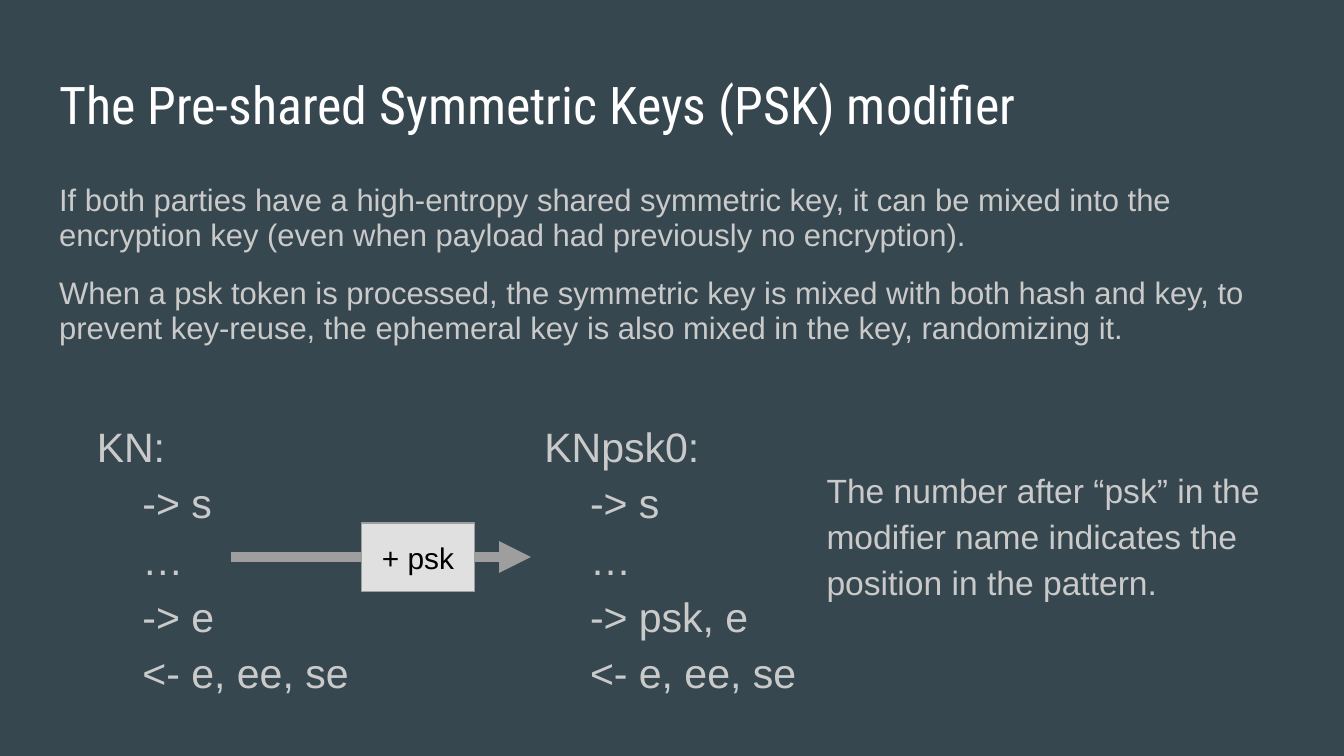
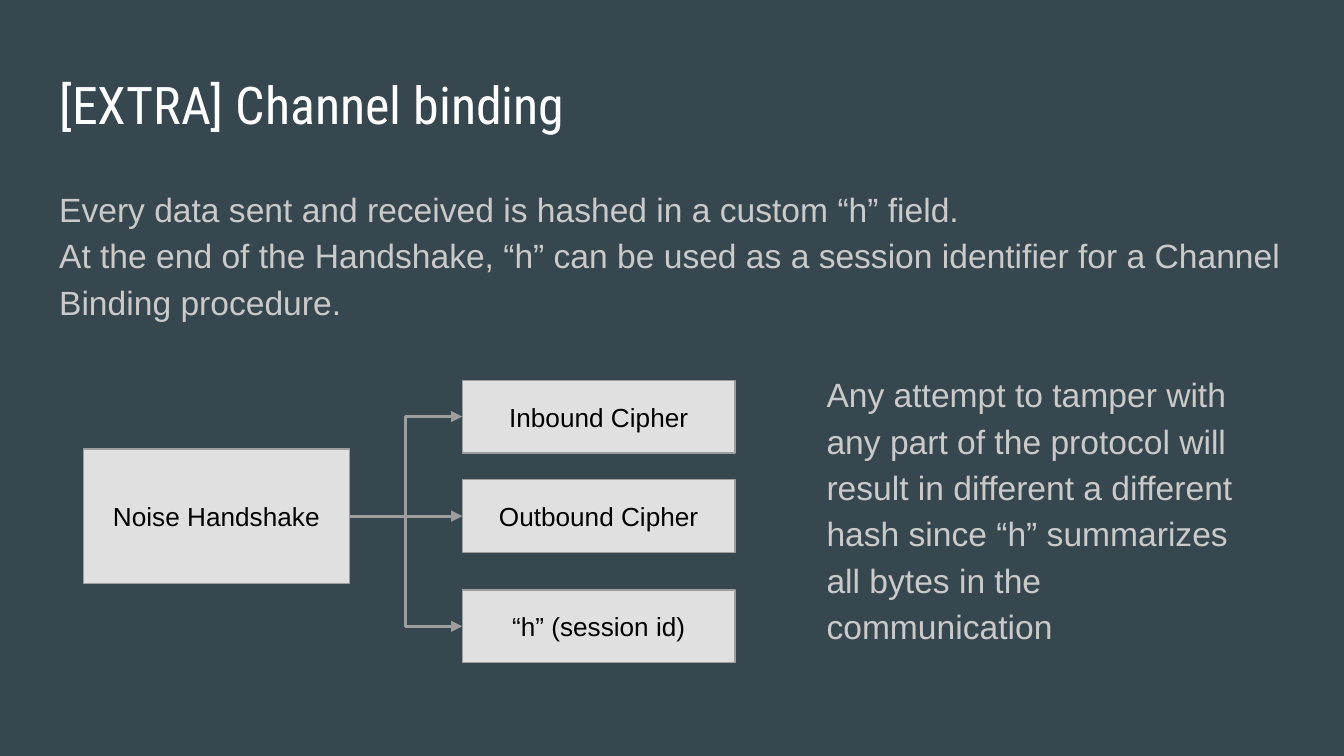
from dataclasses import dataclass
from typing import Any

from lxml.etree import SubElement
from pptx import Presentation
from pptx.dml.color import RGBColor
from pptx.enum.shapes import MSO_CONNECTOR, MSO_SHAPE
from pptx.enum.text import MSO_ANCHOR, MSO_AUTO_SIZE, PP_ALIGN
from pptx.oxml.ns import qn
from pptx.util import Emu, Pt

PX = 4572  # 200 px to the inch
INSET = 20
TOP, LEFT, BOTTOM, RIGHT = range(4)

BACKGROUND = RGBColor(0x37, 0x47, 0x4F)
WHITE = RGBColor(0xFF, 0xFF, 0xFF)
BLACK = RGBColor(0x00, 0x00, 0x00)
BODY_GREY = RGBColor(0xCA, 0xCA, 0xCA)
BOX_GREY = RGBColor(0xE0, 0xE0, 0xE0)
LINE_GREY = RGBColor(0x9E, 0x9E, 0x9E)

TITLE_FONT = "Roboto Condensed"
BODY_FONT = "Arial"


@dataclass(frozen=True)
class Block:
    """Text for a body placeholder; indent applies to lines after the first."""
    text: str
    left: int
    top: int
    width: int
    height: int
    size: float = 18
    line_spacing: float = 1.15
    gap: float = 0
    indent: int = 0


@dataclass(frozen=True)
class Box:
    label: str
    left: int
    top: int
    width: int
    height: int
    size: float = 14


def px(length: int) -> Emu:
    return Emu(length * PX)


def place(shape: Any, item: Block | Box) -> None:
    shape.left, shape.top = px(item.left), px(item.top)
    shape.width, shape.height = px(item.width), px(item.height)


def write_text(shape: Any, text: str, *, size: float, color: RGBColor,
               font: str = BODY_FONT, align: PP_ALIGN = PP_ALIGN.LEFT,
               anchor: MSO_ANCHOR = MSO_ANCHOR.TOP, line_spacing: float = 1.0,
               gap: float = 0, indent: int = 0) -> None:
    frame = shape.text_frame
    frame.word_wrap = True
    frame.auto_size = MSO_AUTO_SIZE.NONE
    frame.vertical_anchor = anchor
    frame.margin_left = frame.margin_right = px(INSET)
    frame.margin_top = frame.margin_bottom = px(INSET)
    for number, line in enumerate(text.split("\n")):
        paragraph = frame.add_paragraph() if number else frame.paragraphs[0]
        paragraph.alignment = align
        paragraph.line_spacing = line_spacing
        paragraph.space_before = Pt(gap if number else 0)
        paragraph.space_after = Pt(0)
        properties = paragraph._p.get_or_add_pPr()
        properties.set("marL", str(px(indent if number else 0)))
        properties.set("indent", "0")
        SubElement(properties, qn("a:buNone"))
        run = paragraph.add_run()
        run.text = line
        run.font.name = font
        run.font.size = Pt(size)
        run.font.bold = False
        run.font.color.rgb = color


def add_content_slide(presentation: Any, layout: str, title: str,
                      blocks: list[Block]) -> Any:
    slide = presentation.slides.add_slide(
        presentation.slide_layouts.get_by_name(layout))
    heading, *bodies = slide.placeholders
    place(heading, Block(title, 68, 98, 1864, 126))
    write_text(heading, title, size=27.8, color=WHITE, font=TITLE_FONT,
               line_spacing=0.9)
    for body, block in zip(bodies, blocks, strict=True):
        place(body, block)
        write_text(body, block.text, size=block.size, color=BODY_GREY,
                   line_spacing=block.line_spacing, gap=block.gap,
                   indent=block.indent)
    return slide


def add_box(slide: Any, box: Box) -> Any:
    shape = slide.shapes.add_shape(MSO_SHAPE.RECTANGLE, 0, 0, 0, 0)
    place(shape, box)
    shape.shadow.inherit = False
    shape.fill.solid()
    shape.fill.fore_color.rgb = BOX_GREY
    shape.line.color.rgb = LINE_GREY
    shape.line.width = Pt(0.75)
    write_text(shape, box.label, size=box.size, color=BLACK,
               align=PP_ALIGN.CENTER, anchor=MSO_ANCHOR.MIDDLE)
    return shape


def add_arrow(slide: Any, kind: MSO_CONNECTOR, target: Any, *, width: float,
              source: Any = None, start: tuple[int, int] = (0, 0)) -> None:
    """Run an arrow to the target's left side from a source shape or a point."""
    x, y = map(px, start)
    arrow = slide.shapes.add_connector(kind, x, y, x, y)
    if source is not None:
        arrow.begin_connect(source, RIGHT)
    arrow.end_connect(target, LEFT)
    arrow.line.color.rgb = LINE_GREY
    arrow.line.width = Pt(width)
    properties = arrow.element.spPr
    SubElement(properties.find(qn("a:ln")), qn("a:tailEnd"), type="triangle")
    SubElement(properties, qn("a:effectLst"))


def add_psk_slide(presentation: Any) -> None:
    column = dict(top=596, width=468, height=466, size=22, indent=68)
    slide = add_content_slide(
        presentation, "Comparison",
        "The Pre-shared Symmetric Keys (PSK) modifier",
        [
            Block("If both parties have a high-entropy shared symmetric key, it "
                  "can be mixed into the encryption key (even when payload had "
                  "previously no encryption).\n"
                  "When a psk token is processed, the symmetric key is mixed "
                  "with both hash and key, to prevent key-reuse, the ephemeral "
                  "key is also mixed in the key, randomizing it.",
                  68, 252, 1820, 362, size=16.6, line_spacing=0.95, gap=12),
            Block("KN:\n-> s\n…\n-> e\n<- e, ee, se", left=124, **column),
            Block("KNpsk0:\n-> s\n…\n-> psk, e\n<- e, ee, se", left=790, **column),
            Block("The number after “psk” in the modifier name indicates the "
                  "position in the pattern.", 1210, 670, 708, 316),
        ])
    modified_pattern = slide.placeholders[3]
    add_arrow(slide, MSO_CONNECTOR.STRAIGHT, modified_pattern, width=5.67,
              start=(344, 829))
    add_box(slide, Box("+ psk", 538, 778, 168, 102, size=16))


def add_channel_binding_slide(presentation: Any) -> None:
    slide = add_content_slide(
        presentation, "Two Content", "[EXTRA] Channel binding",
        [
            Block("Every data sent and received is hashed in a custom “h” field.\n"
                  "At the end of the Handshake, “h” can be used as a session "
                  "identifier for a Channel Binding procedure.",
                  68, 252, 1864, 258),
            Block("Any attempt to tamper with any part of the protocol will "
                  "result in different a different hash since “h” summarizes "
                  "all bytes in the communication", 1210, 528, 690, 482),
        ])
    handshake = add_box(slide, Box("Noise Handshake", 124, 668, 396, 200))
    outputs = {"Inbound Cipher": 566, "Outbound Cipher": 714,
               "“h” (session id)": 878}
    for label, top in outputs.items():
        output = add_box(slide, Box(label, 688, top, 406, 108))
        add_arrow(slide, MSO_CONNECTOR.ELBOW, output, width=1.5,
                  source=handshake)


def main() -> None:
    presentation = Presentation()
    presentation.slide_width, presentation.slide_height = px(2000), px(1125)
    background = presentation.slide_master.background.fill
    background.solid()
    background.fore_color.rgb = BACKGROUND
    add_psk_slide(presentation)
    add_channel_binding_slide(presentation)
    presentation.save("out.pptx")


if __name__ == "__main__":
    main()
